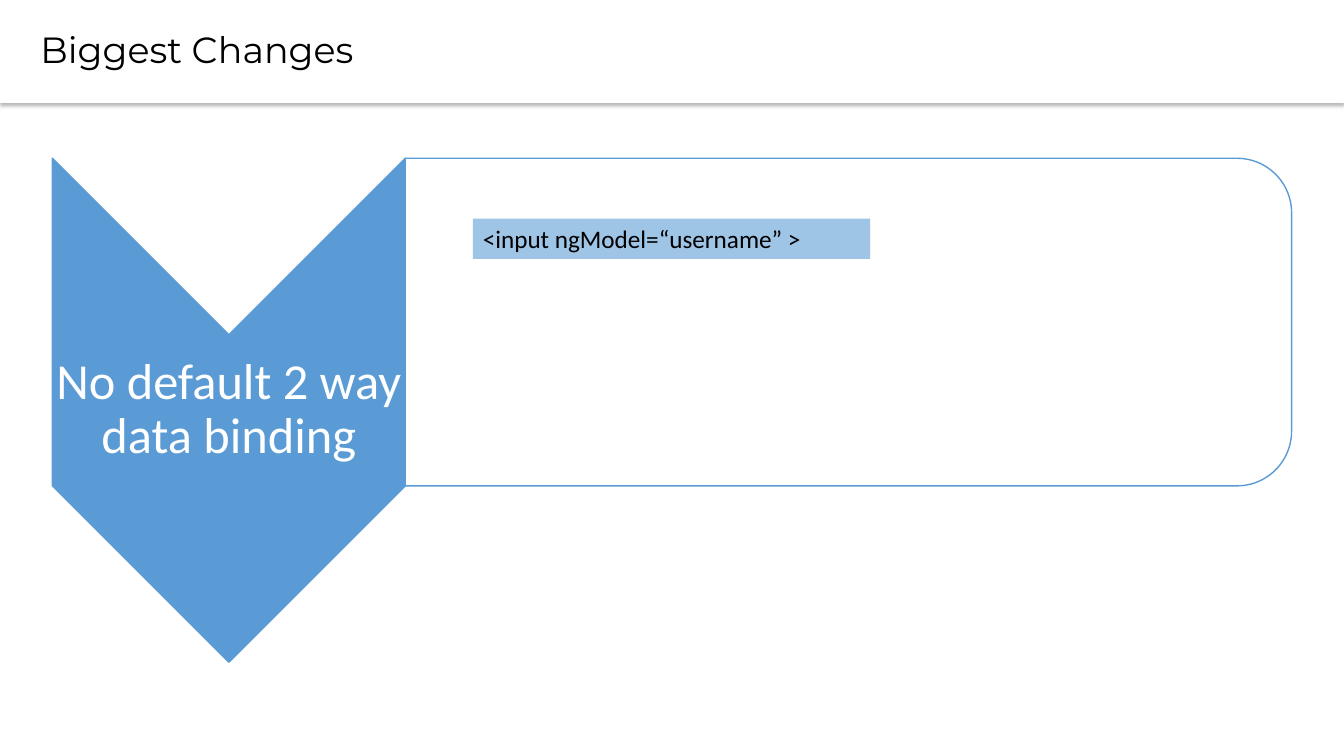
from lxml import etree
from pptx import Presentation
from pptx.dml.color import RGBColor
from pptx.enum.shapes import MSO_SHAPE as SHAPE
from pptx.enum.text import MSO_ANCHOR as ANCHOR, MSO_AUTO_SIZE as FIT, PP_ALIGN as ALIGN
from pptx.oxml import parse_xml
from pptx.oxml.ns import nsdecls, qn
from pptx.util import Inches, Pt

# Content
TITLE = "Biggest Changes"
CHANGE = "No default 2 way data binding"
CODE = "<input ngModel=“username” >"

BLUE = RGBColor(0x5B, 0x9B, 0xD5)
WHITE = RGBColor(0xFF, 0xFF, 0xFF)
BLACK = RGBColor(0, 0, 0)

# Layout in inches: left, top, width, height as seen
WIDE, HIGH = 13.33, 7.5
HEAD = (0, 0, WIDE, 1.02)
ARROW = (0.52, 1.57, 3.5, 5)
PANEL = (ARROW[0] + ARROW[2], ARROW[1], 8.79, 3.25)
LABEL = (ARROW[0], ARROW[1] + ARROW[2] / 2, ARROW[2], ARROW[3] - ARROW[2])
SNIP = (4.69, 2.17, 3.94, 0.4)


def write(shape, text, size, font="Calibri", color=BLACK, align=ALIGN.LEFT,
          pad=(0.1, 0.05, 0.1, 0.05), space=None, before=0, fit=FIT.NONE):
    frame = shape.text_frame
    frame.word_wrap = True
    frame.auto_size = fit
    frame.vertical_anchor = ANCHOR.MIDDLE
    (frame.margin_left, frame.margin_top,
     frame.margin_right, frame.margin_bottom) = map(Inches, pad)
    para = frame.paragraphs[0]
    para.alignment, para.line_spacing = align, space
    para.space_before = Pt(before)
    run = para.add_run()
    run.text = text
    run.font.size, run.font.name = Pt(size), font
    run.font.color.rgb = color


def add(slide, kind, box, fill, alpha=100, line=None, turn=False):
    left, top, wide, high = box
    if turn:  # a quarter turn swaps the sides around the same centre
        left, top = left + (wide - high) / 2, top + (high - wide) / 2
        wide, high = high, wide
    shape = slide.shapes.add_shape(kind, *map(Inches, (left, top, wide, high)))
    shape.rotation = 90 if turn else 0
    shape.shadow.inherit = False
    shape.fill.solid()
    shape.fill.fore_color.rgb = fill
    if alpha < 100:
        tint = shape.fill._xPr.find(".//" + qn("a:srgbClr"))
        etree.SubElement(tint, qn("a:alpha"), val=str(alpha * 1000))
    if line is None:
        shape.line.fill.background()
    else:
        shape.line.color.rgb = line
        shape.line.width = Pt(1)
    return shape


def main():
    deck = Presentation()
    deck.slide_width, deck.slide_height = Inches(WIDE), Inches(HIGH)
    slide = deck.slides.add_slide(deck.slide_layouts[5])

    # Arrow with its label, and the panel beside it
    add(slide, SHAPE.CHEVRON, ARROW, BLUE, line=BLUE, turn=True)
    label = slide.shapes.add_textbox(*map(Inches, LABEL))
    write(label, CHANGE, 36, color=WHITE, align=ALIGN.CENTER,
          pad=(0.03,) * 4, space=0.9)
    add(slide, SHAPE.ROUND_2_SAME_RECTANGLE, PANEL, WHITE, alpha=90,
        line=BLUE, turn=True)

    # Title bar with a soft shadow below
    head = slide.shapes.title
    head.left, head.top, head.width, head.height = map(Inches, HEAD)
    head.fill.solid()
    head.fill.fore_color.rgb = WHITE
    head.fill._xPr.append(parse_xml(
        f'<a:effectLst {nsdecls("a")}>'
        f'<a:outerShdw blurRad="{Pt(3.1)}" dist="{Pt(2)}" dir="5400000" '
        'algn="t" rotWithShape="0"><a:srgbClr val="000000">'
        '<a:alpha val="30000"/></a:srgbClr></a:outerShdw></a:effectLst>'))
    write(head, TITLE, 26, font="Montserrat", pad=(0.4, 0.05, 0.1, 0.05),
          space=0.9, before=10)

    # Code snippet
    snip = add(slide, SHAPE.RECTANGLE, SNIP, BLUE, alpha=59)
    write(snip, CODE, 18, fit=FIT.SHAPE_TO_FIT_TEXT)

    deck.save("out.pptx")


if __name__ == "__main__":
    main()
